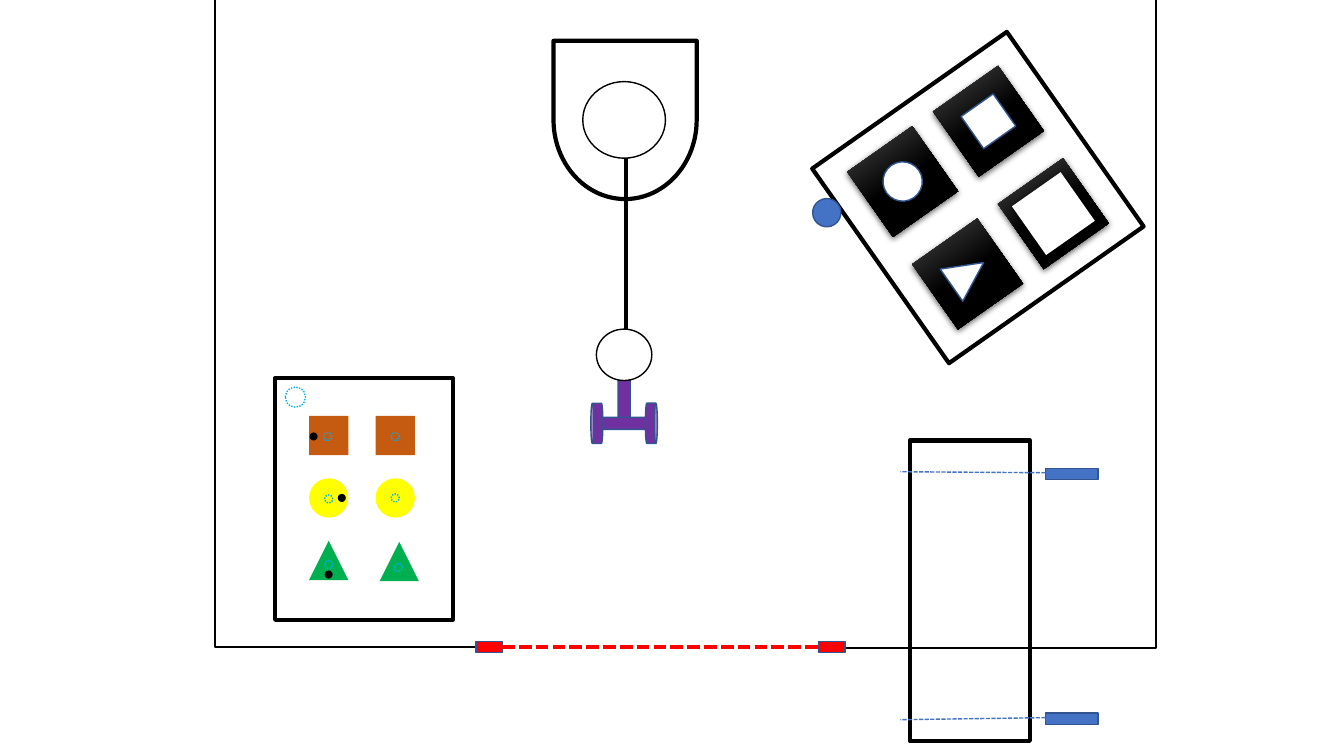
import math
from lxml import etree
from pptx import Presentation
from pptx.dml.color import RGBColor
from pptx.enum.dml import MSO_LINE
from pptx.enum.shapes import MSO_CONNECTOR, MSO_SHAPE
from pptx.oxml import parse_xml
from pptx.oxml.ns import nsdecls, qn
from pptx.util import Inches, Pt

COLORS = {
    "black": "000000", "white": "FFFFFF", "red": "FF0000", "blue": "4472C4",
    "navy": "325491", "sky": "00B0F0", "purple": "7030A0", "orange": "C55A11",
    "yellow": "FFFF00", "green": "00B050", "shine": "4B4B4B",
}
RECT, OVAL, TRIANGLE = MSO_SHAPE.RECTANGLE, MSO_SHAPE.OVAL, MSO_SHAPE.ISOSCELES_TRIANGLE
CAN, DELAY = MSO_SHAPE.CAN, MSO_SHAPE.FLOWCHART_DELAY
DOT, DASH = MSO_LINE.ROUND_DOT, MSO_LINE.SQUARE_DOT

# Room walls: unrotated box, rotation, flips, bend position
WALLS = [
    ((0.21, 1.92, 6.42, 2.58), 270, ("flipV",), 0),
    ((6.2, 1.16, 7.37, 3.16), 90, ("flipH", "flipV"), 1),
]
# Gate posts at the door
GATE_Y, GATE_POSTS, POST_SIZE = 6.42, (4.72, 8.12), (0.26, 0.11)

# Sorting tray: shape, colour, piece centres, peg-hole centres (left, right)
PIECE, HOLE = 0.39, 0.08
TRAY_ROWS = [
    (RECT, "orange", [(3.26, 4.32), (3.92, 4.32)], [(3.25, 4.33), (3.92, 4.33)]),
    (OVAL, "yellow", [(3.26, 4.94), (3.92, 4.94)], [(3.26, 4.95), (3.92, 4.94)]),
    (TRIANGLE, "green", [(3.26, 5.56), (3.96, 5.57)], [(3.26, 5.6), (3.95, 5.63)]),
]
PEGS = [(3.11, 4.33), (3.39, 4.94), (3.26, 5.7)]

# Tilted board: column, row, inlay shape, inlay size, inlay extra turn
BOARD_CENTRE, BOARD_SIZE, BOARD_TURN = (9.7, 1.96), 2.36, -35.1
TILE, TILE_DX, TILE_DY = 0.79, 0.52, 0.56
TILES = [
    (1, -1, RECT, 0.39, 0), (-1, -1, OVAL, 0.39, 90),
    (-1, 1, TRIANGLE, 0.39, 90), (1, 1, RECT, 0.59, 0),
]

# Conveyor sensors: body top, beam start and end heights
SENSORS = [(4.64, 4.69, 4.68), (7.07, 7.12, 7.14)]

# Robot gripper cans: centre, size, rotation
CANS = [
    ((6.19, 3.94), (0.12, 0.51), 0), ((6.21, 4.2), (0.12, 0.51), 90),
    ((6.46, 4.2), (0.4, 0.12), 90), ((5.92, 4.2), (0.4, 0.12), 270),
]


def rgb(name):
    """Return the named colour."""
    return RGBColor.from_string(COLORS[name])


def set_line(line, color, width, dash=None):
    """Style an outline or connector."""
    line.color.rgb = rgb(color)
    line.width = Pt(width)
    if dash:
        line.dash_style = dash


def draw(shapes, kind, centre, size, fill=None, line=None, turn=0):
    """Add a preset shape around its centre; line is (colour, width, dash)."""
    (cx, cy), (w, h) = centre, size
    shape = shapes.add_shape(kind, Inches(cx - w / 2), Inches(cy - h / 2),
                             Inches(w), Inches(h))
    shape.shadow.inherit = False
    shape.rotation = turn % 360
    if fill:
        shape.fill.solid()
        shape.fill.fore_color.rgb = rgb(fill)
    else:
        shape.fill.background()
    if line:
        set_line(shape.line, *line)
    else:
        shape.line.fill.background()
    return shape


def connect(shapes, kind, start, end, *style):
    """Add a connector without a shadow."""
    link = shapes.add_connector(kind, *(Inches(v) for v in (*start, *end)))
    set_line(link.line, *style)
    etree.SubElement(link._element.spPr, qn("a:effectLst"))
    return link


def add_shadow(shape):
    """Give a shape a soft shadow falling downwards."""
    effects = shape._element.spPr.find(qn("a:effectLst"))
    effects.append(parse_xml(
        f'<a:outerShdw {nsdecls("a")} blurRad="{Pt(4.5)}" dist="{Pt(1.5)}" '
        f'dir="5400000" algn="ctr" rotWithShape="0"><a:srgbClr val="{COLORS["black"]}">'
        '<a:alpha val="63000"/></a:srgbClr></a:outerShdw>'))


def add_shine(shape):
    """Replace a solid fill by a grey-to-black gradient."""
    stops = "".join(f'<a:gs pos="{pos}000"><a:srgbClr val="{COLORS[name]}"/></a:gs>'
                    for pos, name in ((0, "shine"), (50, "black"), (100, "black")))
    solid = shape._element.spPr.find(qn("a:solidFill"))
    solid.getparent().replace(solid, parse_xml(
        f'<a:gradFill {nsdecls("a")} rotWithShape="1"><a:gsLst>{stops}</a:gsLst>'
        '<a:lin ang="5400000" scaled="0"/></a:gradFill>'))


def draw_walls(shapes):
    """Draw the two bent walls of the room."""
    for (x, y, w, h), turn, flips, bend in WALLS:
        wall = connect(shapes, MSO_CONNECTOR.ELBOW, (x, y), (x + w, y + h), "black", 1.5)
        frame = wall._element.spPr.find(qn("a:xfrm"))
        frame.set("rot", str(turn * 60000))
        for flip in flips:
            frame.set(flip, "1")
        guides = wall._element.spPr.find(qn("a:prstGeom")).get_or_add_avLst()
        etree.SubElement(guides, qn("a:gd"), name="adj1", fmla=f"val {bend}")


def draw_gate(shapes):
    """Draw the dashed gate between its posts."""
    w, h = POST_SIZE
    for x in GATE_POSTS:
        draw(shapes, RECT, (x + w / 2, GATE_Y), (w, h), "red", ("navy", 1))
    connect(shapes, MSO_CONNECTOR.STRAIGHT, (GATE_POSTS[0] + w, GATE_Y),
            (GATE_POSTS[1], GATE_Y), "red", 3, DASH)


def draw_tray(shapes):
    """Draw the sorting tray with its pieces and peg holes."""
    draw(shapes, RECT, (3.61, 4.95), (1.76, 2.4), line=("black", 3))
    for kind, color, pieces, holes in TRAY_ROWS:
        for piece, hole in zip(pieces, holes):
            draw(shapes, kind, piece, (PIECE, PIECE), color)
            draw(shapes, OVAL, hole, (HOLE, HOLE), line=("sky", 1, DOT))
    draw(shapes, OVAL, (2.93, 3.94), (0.2, 0.2), line=("sky", 1, DOT))


def draw_board(shapes):
    """Draw the tilted board, its four tiles and the button beside it."""
    (cx, cy), angle = BOARD_CENTRE, math.radians(BOARD_TURN)
    draw(shapes, RECT, BOARD_CENTRE, (BOARD_SIZE, BOARD_SIZE), line=("black", 3),
         turn=BOARD_TURN)
    for col, row, kind, size, extra in TILES:
        dx, dy = col * TILE_DX, row * TILE_DY
        centre = (cx + dx * math.cos(angle) - dy * math.sin(angle),
                  cy + dx * math.sin(angle) + dy * math.cos(angle))
        tile = draw(shapes, RECT, centre, (TILE, TILE), "black", turn=BOARD_TURN)
        add_shine(tile)
        add_shadow(tile)
        is_large = size > 0.5
        inlay = draw(shapes, kind, centre, (size, size), "white",
                     None if is_large else ("navy", 1), BOARD_TURN + extra)
        if is_large:
            add_shadow(inlay)
    draw(shapes, OVAL, (8.2, 2.11), (0.28, 0.28), "blue", ("navy", 1), -3.5)


def draw_conveyor(shapes):
    """Draw the conveyor with its sensors and beams."""
    draw(shapes, RECT, (9.62, 5.86), (1.19, 2.98), line=("black", 3))
    for top, start_y, end_y in SENSORS:
        draw(shapes, RECT, (10.63, top + 0.06), (0.52, 0.11), "blue", ("navy", 1))
        connect(shapes, MSO_CONNECTOR.STRAIGHT, (10.37, start_y), (8.93, end_y),
                "blue", 1, DASH)


def draw_robot(shapes):
    """Draw the robot base, arm and gripper."""
    draw(shapes, DELAY, (6.2, 1.19), (1.57, 1.42), line=("black", 3), turn=90)
    draw(shapes, OVAL, (6.19, 1.19), (0.82, 0.76), line=("black", 1))
    connect(shapes, MSO_CONNECTOR.STRAIGHT, (6.21, 1.57), (6.21, 3.27), "black", 3)
    for centre, size, turn in CANS:
        draw(shapes, CAN, centre, size, "purple", ("navy", 1), turn)
    draw(shapes, OVAL, (6.19, 3.52), (0.55, 0.51), "white", ("black", 1))


prs = Presentation()
prs.slide_width, prs.slide_height = Inches(13.33), Inches(7.5)
slide = prs.slides.add_slide(prs.slide_layouts[6])
draw_walls(slide.shapes)
for draw_part in (draw_gate, draw_tray, draw_board, draw_conveyor, draw_robot):
    draw_part(slide.shapes.add_group_shape().shapes)
for peg in PEGS:
    draw(slide.shapes, OVAL, peg, (HOLE, HOLE), "black")
prs.save("out.pptx")
